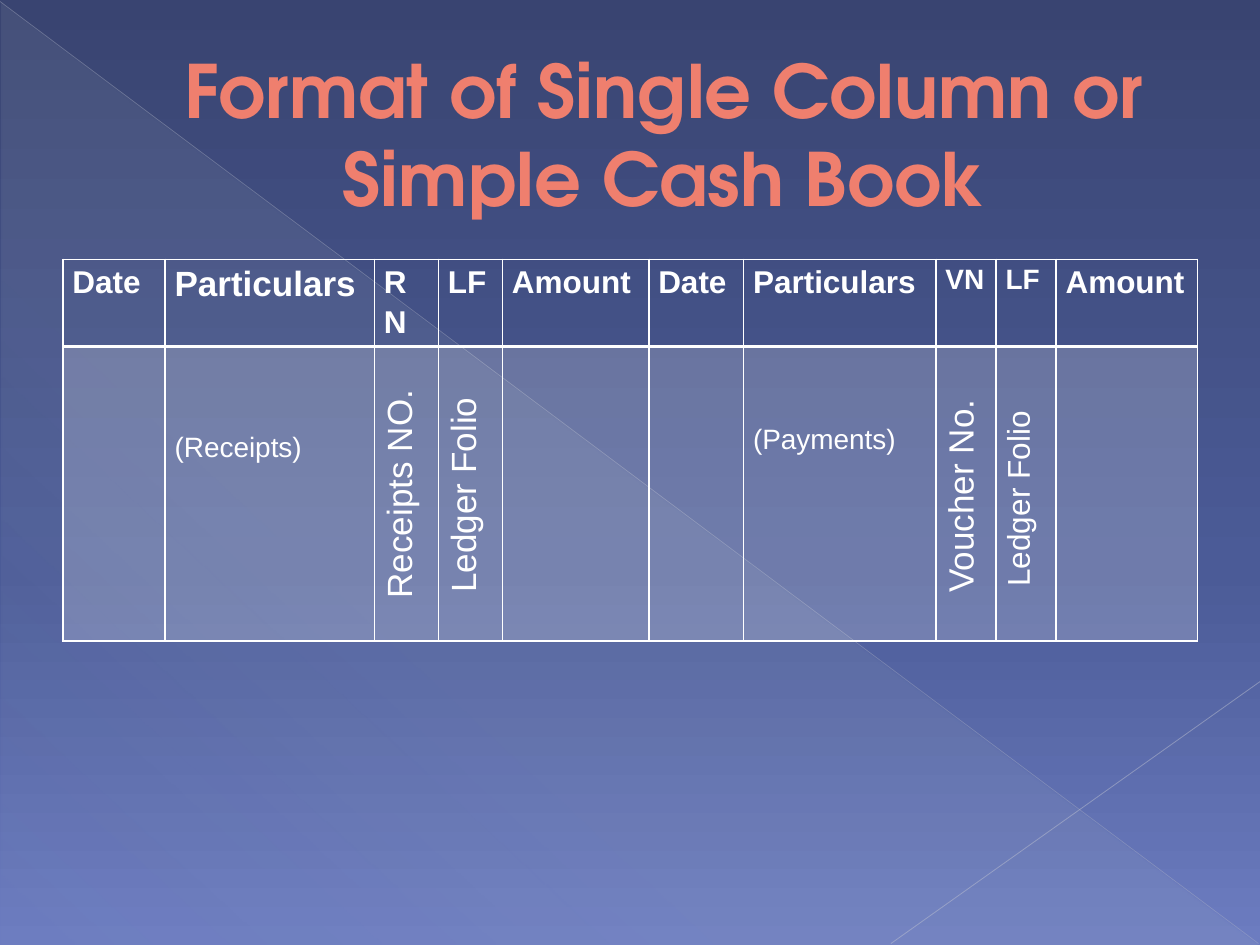
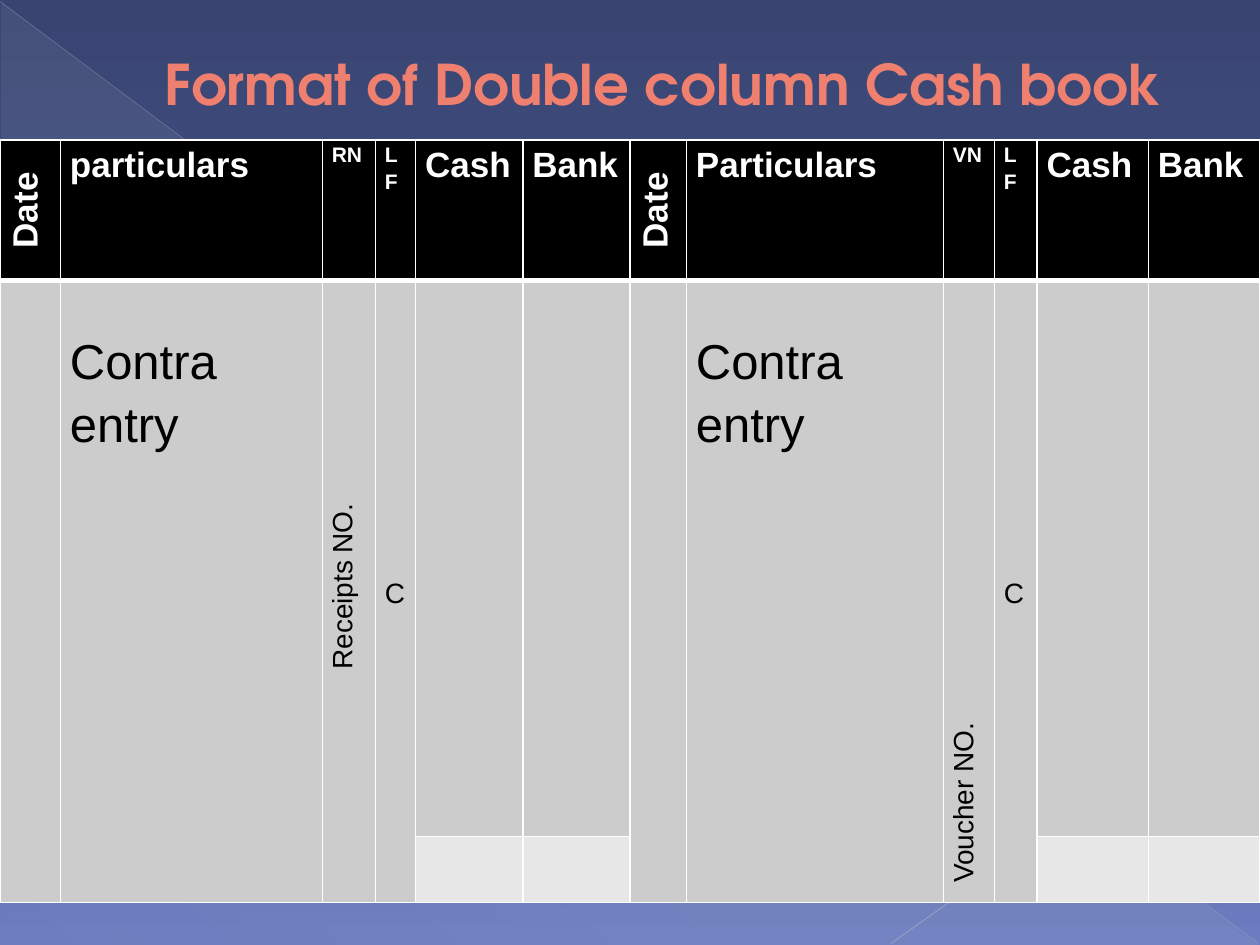
from dataclasses import dataclass

from lxml.etree import SubElement
from pptx import Presentation
from pptx.dml.color import RGBColor
from pptx.enum.shapes import MSO_CONNECTOR, MSO_SHAPE
from pptx.enum.text import MSO_ANCHOR, PP_ALIGN
from pptx.oxml import parse_xml
from pptx.oxml.ns import nsdecls, qn
from pptx.util import Cm, Pt

WHITE = RGBColor(0xFF, 0xFF, 0xFF)
BLACK = RGBColor(0x00, 0x00, 0x00)
CORAL = RGBColor(0xEF, 0x7F, 0x6E)
NAVY = RGBColor(0x39, 0x44, 0x71)
INDIGO = RGBColor(0x4B, 0x5B, 0x97)
PERIWINKLE = RGBColor(0x6C, 0x7C, 0xC0)
MIST = RGBColor(0xC5, 0xD1, 0xD7)
LONG_LINE = RGBColor(0xBA, 0xBE, 0xCD)
SHORT_LINE = RGBColor(0xC2, 0xC5, 0xD2)
BODY_GREY = RGBColor(0xCC, 0xCC, 0xCC)
TOTAL_GREY = RGBColor(0xE7, 0xE7, 0xE7)

TITLE_FONT = "TeX Gyre Adventor"
BODY_FONT = "Arial"


@dataclass
class Entry:
    text: str
    size: int
    align: PP_ALIGN = PP_ALIGN.JUSTIFY
    upright: bool = False
    middle: bool = False
    indent: float = 0
    drop: float = 0


@dataclass
class RowStyle:
    height: float
    fill: RGBColor = None
    opacity: int = 100
    color: RGBColor = WHITE
    bold: bool = False
    top: float = 1
    bottom: float = 1


def set_opacity(holder, percent):
    for color in holder.iter(qn("a:srgbClr")):
        SubElement(color, qn("a:alpha"), val=str(percent * 1000))


def set_gradient(fill, holder, stops, angle):
    fill.gradient()
    marks = "".join(
        f'<a:gs pos="{position * 1000}"><a:srgbClr val="{color}">'
        f'<a:alpha val="{opacity * 1000}"/></a:srgbClr></a:gs>'
        for position, color, opacity in stops
    )
    gradient = parse_xml(
        f'<a:gradFill {nsdecls("a")} rotWithShape="1"><a:gsLst>{marks}</a:gsLst>'
        f'<a:lin ang="{angle * 60000}" scaled="0"/></a:gradFill>'
    )
    holder.replace(holder.find(qn("a:gradFill")), gradient)


def set_indent(paragraph, indent):
    properties = paragraph._p.get_or_add_pPr()
    properties.set("marL", str(Cm(indent)))
    properties.set("indent", "0")


class CashBookDeck:
    def __init__(self):
        self.deck = Presentation()
        self.deck.slide_width = Cm(25.4)
        self.deck.slide_height = Cm(19.05)
        self.page = None

    def add_page(self):
        self.page = self.deck.slides.add_slide(self.deck.slide_layouts[6])
        fill = self.page.background.fill
        fill.solid()
        set_gradient(
            fill,
            self.page.element.find(".//" + qn("p:bgPr")),
            [(0, NAVY, 100), (60, INDIGO, 100), (100, PERIWINKLE, 100)],
            90,
        )
        self.add_triangle()
        self.add_line((0, 0.03), (25.37, 19.02), LONG_LINE, 0.39, 35)
        self.add_line((25.4, 13.74), (17.96, 19.02), SHORT_LINE, 0.47, 45)

    def add_triangle(self):
        triangle = self.page.shapes.add_shape(
            MSO_SHAPE.RIGHT_TRIANGLE, Cm(0.03), Cm(0.05), Cm(25.35), Cm(19)
        )
        triangle.shadow.inherit = False
        triangle.line.fill.background()
        stops = [(0, MIST, 10), (70, MIST, 8), (100, MIST, 1)]
        set_gradient(triangle.fill, triangle.element.spPr, stops, 133)

    def add_line(self, start, end, color, width, opacity):
        points = [Cm(value) for value in (*start, *end)]
        line = self.page.shapes.add_connector(MSO_CONNECTOR.STRAIGHT, *points)
        line.line.color.rgb = color
        line.line.width = Pt(width)
        properties = line.element.spPr
        set_opacity(properties, opacity)
        SubElement(properties, qn("a:effectLst"))

    def add_title(self, text, top, height, size):
        box = self.page.shapes.add_textbox(Cm(1.27), Cm(top), Cm(22.86), Cm(height))
        frame = box.text_frame
        frame.word_wrap = True
        frame.vertical_anchor = MSO_ANCHOR.MIDDLE
        frame.text = text
        para = frame.paragraphs[0]
        para.alignment = PP_ALIGN.CENTER
        set_indent(para, 1.35)
        self.style_text(para, TITLE_FONT, size, CORAL, True)

    def style_text(self, para, font, size, color, bold):
        for span in para.runs:
            span.font.name = font
            span.font.size = Pt(size)
            span.font.color.rgb = color
            span.font.bold = bold

    def add_table(self, left, top, widths, styles, rows):
        height = sum(style.height for style in styles)
        table = self.page.shapes.add_table(
            len(styles), len(widths), Cm(left), Cm(top), Cm(sum(widths)), Cm(height)
        ).table
        table.first_row = False
        table.horz_banding = False
        for column, width in zip(table.columns, widths):
            column.width = Cm(width)
        for row, style, entries in zip(table.rows, styles, rows):
            row.height = Cm(style.height)
            for cell, entry in zip(row.cells, entries):
                self.style_cell(cell, style)
                if entry:
                    self.fill_cell(cell, entry, style)
        return table

    def style_cell(self, cell, style):
        properties = cell._tc.get_or_add_tcPr()
        if style.fill is None:
            cell.fill.background()
        else:
            cell.fill.solid()
            cell.fill.fore_color.rgb = style.fill
            if style.opacity < 100:
                set_opacity(properties, style.opacity)
        sides = (("L", 1), ("R", 1), ("T", style.top), ("B", style.bottom))
        for index, (side, width) in enumerate(sides):
            border = parse_xml(
                f'<a:ln{side} {nsdecls("a")} w="{Pt(width)}"><a:solidFill>'
                f'<a:srgbClr val="{WHITE}"/></a:solidFill></a:ln{side}>'
            )
            properties.insert(index, border)

    def fill_cell(self, cell, entry, style):
        cell.margin_left = cell.margin_right = Cm(0.19)
        cell.margin_top = Cm(entry.drop)
        cell.margin_bottom = 0
        cell.vertical_anchor = MSO_ANCHOR.MIDDLE if entry.middle else MSO_ANCHOR.TOP
        if entry.upright:
            cell._tc.get_or_add_tcPr().set("vert", "vert270")
        cell.text_frame.text = entry.text
        for para in cell.text_frame.paragraphs:
            para.alignment = entry.align
            para.line_spacing = 1.15
            set_indent(para, entry.indent)
            self.style_text(para, BODY_FONT, entry.size, style.color, style.bold)


def upright(text, size, indent=0.0, align=PP_ALIGN.LEFT, middle=True):
    return Entry(text, size, align, True, middle, indent)


def add_single_column_page(book):
    book.add_page()
    book.add_title("Format of Single Column or Simple Cash Book", 0.74, 3.89, 42)
    header = [
        Entry("Date", 18), Entry("Particulars", 20), Entry("RN", 18),
        Entry("LF", 18), Entry("Amount", 18), Entry("Date", 18),
        Entry("Particulars", 18), Entry("VN", 16), Entry("LF", 16),
        Entry("Amount", 18),
    ]
    body = [
        None, Entry("(Receipts)", 16, drop=1.63),
        upright("Receipts NO.", 20, 0.67), upright("Ledger Folio", 20, 0.79),
        None, None, Entry("(Payments)", 16, drop=1.47),
        upright("Voucher No.", 20, 0.79), upright("Ledger Folio", 18, 0.91), None,
    ]
    book.add_table(
        1.27, 5.23,
        [2.06, 4.22, 1.29, 1.29, 2.95, 1.91, 3.88, 1.21, 1.21, 2.85],
        [
            RowStyle(1.55, bold=True, bottom=2),
            RowStyle(5.94, WHITE, 20, top=2),
        ],
        [header, body],
    )


def add_double_column_page(book):
    book.add_page()
    book.add_title("Format of Double column Cash book", 0.51, 2.34, 32)
    date = upright("Date", 20, align=PP_ALIGN.CENTER, middle=False)
    cash_and_bank = [Entry("Cash", 20), Entry("Bank", 20)]
    contra = Entry("Contra\nentry", 28, drop=0.93)
    mark = Entry("C", 16, PP_ALIGN.LEFT, middle=True)
    header = [
        date, Entry("particulars", 20), Entry("RN", 12), Entry("LF", 12), *cash_and_bank,
        date, Entry("Particulars", 20), Entry("VN", 12), Entry("LF", 12), *cash_and_bank,
    ]
    body = [
        None, contra, upright("Receipts NO.", 16, 0.2, PP_ALIGN.CENTER), mark, None, None,
        None, contra, upright("Voucher NO.", 16, 0.2), mark, None, None,
    ]
    table = book.add_table(
        0, 2.82,
        [1.22, 5.28, 1.07, 0.81, 2.16, 2.16, 1.14, 5.18, 1.03, 0.86, 2.24, 2.25],
        [
            RowStyle(2.84, BLACK, bold=True, bottom=3),
            RowStyle(11.2, BODY_GREY, color=BLACK, top=3),
            RowStyle(1.33, TOTAL_GREY, color=BLACK),
        ],
        [header, body, [None] * len(header)],
    )
    for column in range(len(header)):
        if column % 6 < 4:
            table.cell(1, column).merge(table.cell(2, column))


def main():
    book = CashBookDeck()
    add_single_column_page(book)
    add_double_column_page(book)
    book.deck.save("out.pptx")


if __name__ == "__main__":
    main()
